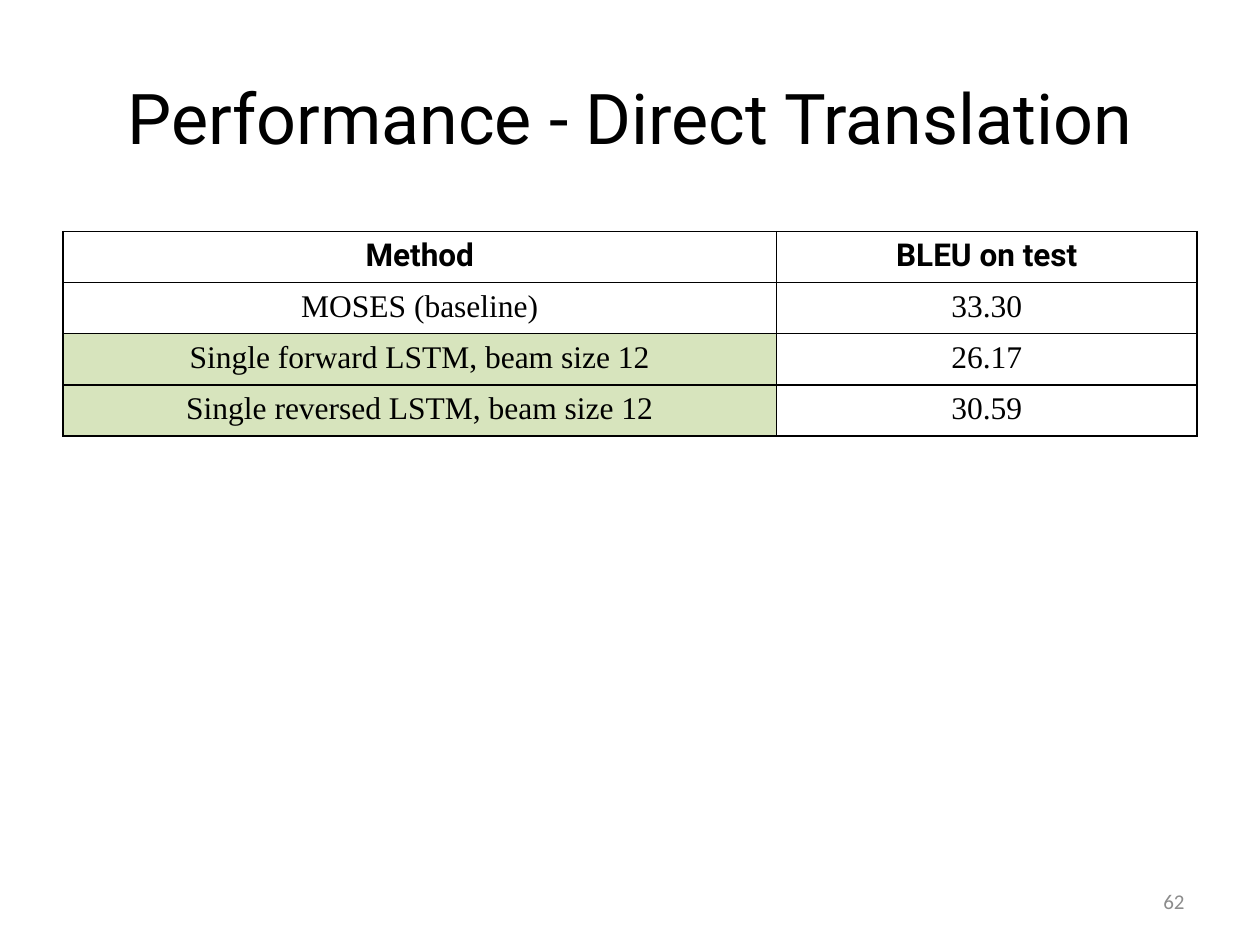
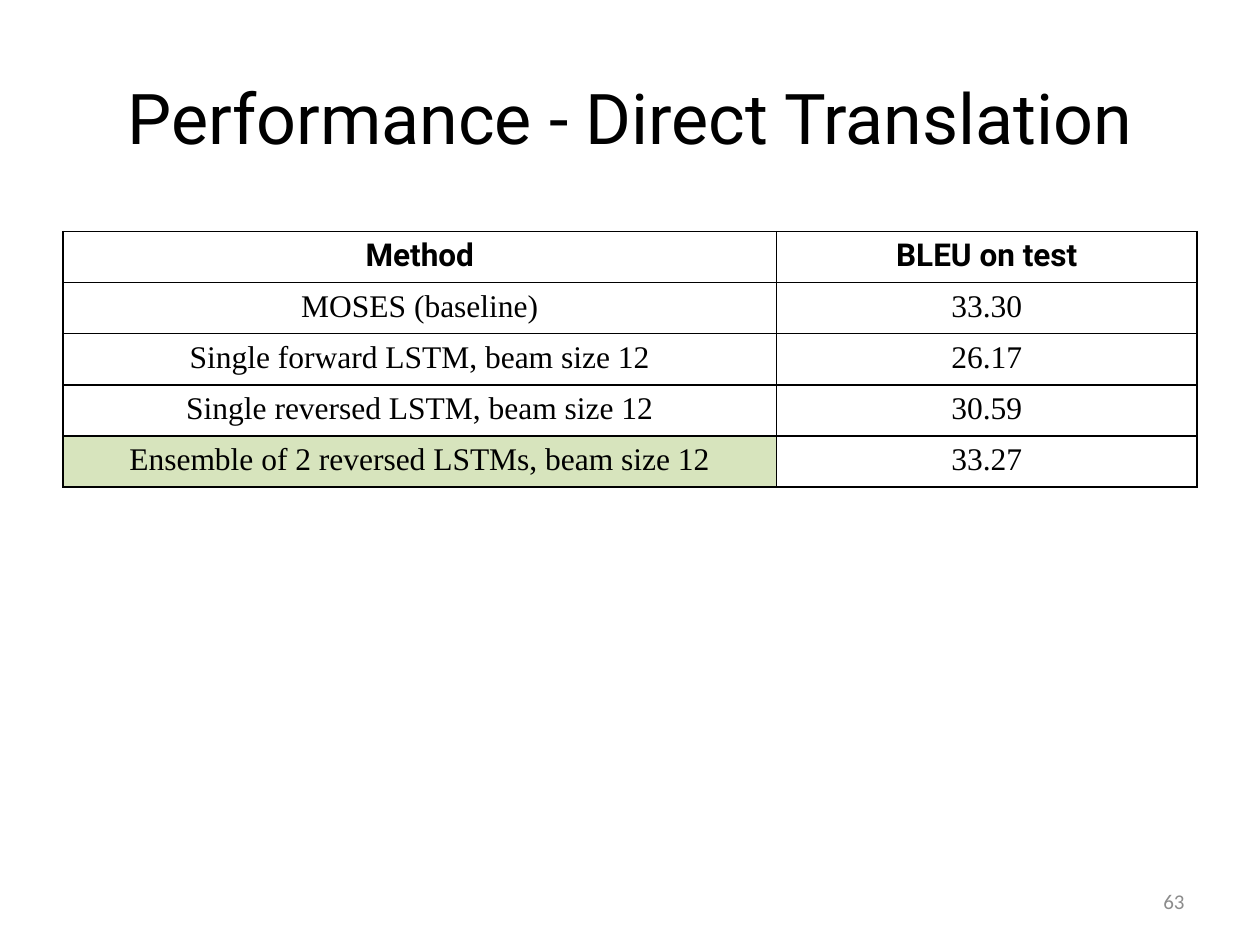
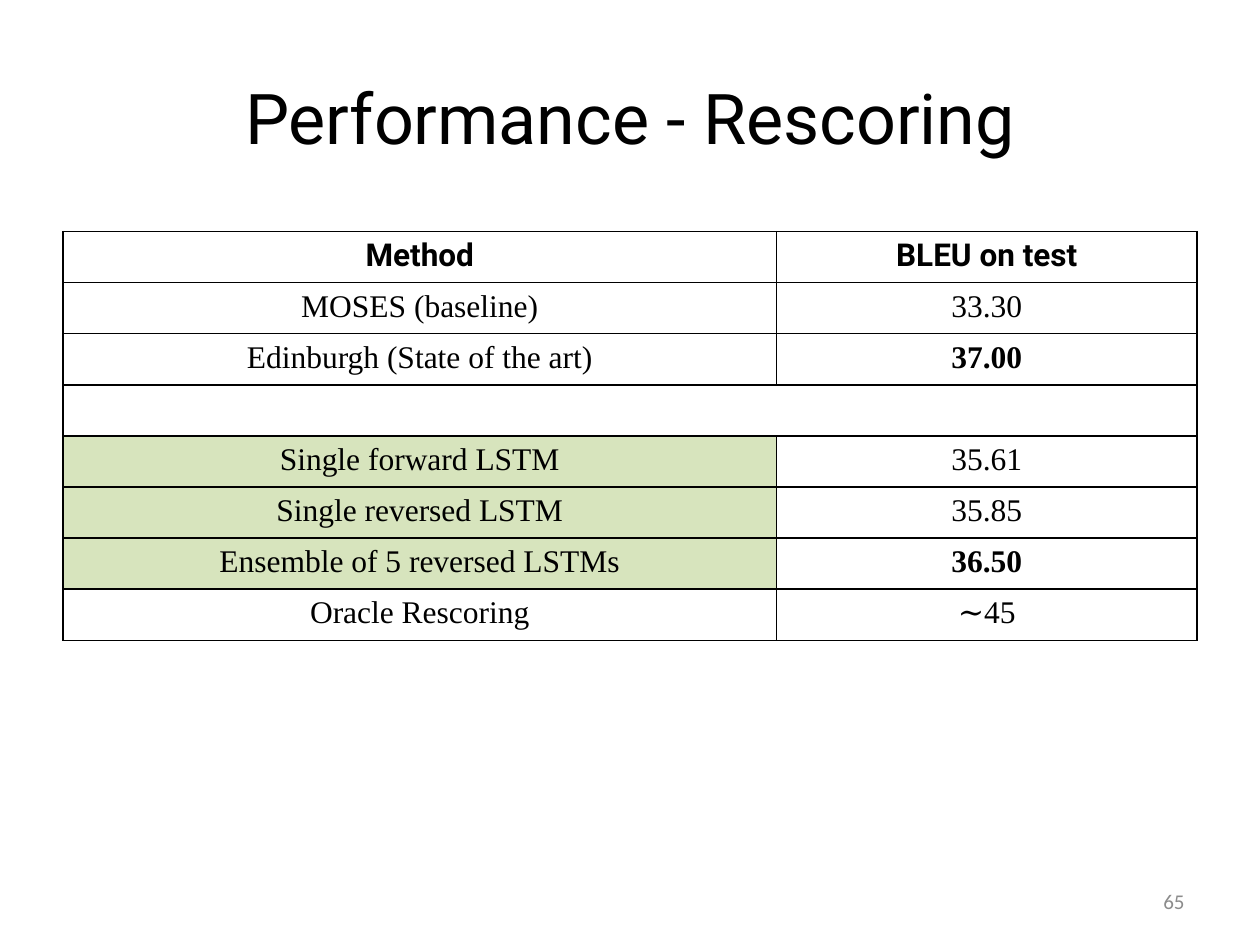
import pptx
import pptx.dml.color
import pptx.enum.text
import pptx.oxml.ns
import pptx.util
from lxml import etree

Pt = pptx.util.Pt
ALIGN = pptx.enum.text.PP_ALIGN
HEADING_FONT, BODY_FONT, NUMBER_FONT = "Roboto", "Times New Roman", "Calibri"
BLACK, WHITE, GREY, GREEN = "000000", "FFFFFF", "8C8C8C", "D7E4BD"

TITLE_BOX = (36, 21.6, 648, 90)
SCORES_BOX = (36, 132.3, 648)
NUMBER_BOX = (516, 500.5, 168, 28.75)
METHOD_WIDTH = 407.75
ROW_HEIGHT = 29.2

HEADER = ("Method", "BLEU on test")
BASELINE = ("MOSES (baseline)", "33.30")
FORWARD = ("Single forward LSTM, beam size 12", "26.17")
REVERSED = ("Single reversed LSTM, beam size 12", "30.59")
SEPARATOR = ("", "")

SLIDES = [
    ("Performance - Direct Translation", "62",
     [HEADER, BASELINE, FORWARD, REVERSED], {2, 3}, set()),
    ("Performance - Direct Translation", "63",
     [HEADER, BASELINE, FORWARD, REVERSED,
      ("Ensemble of 2 reversed LSTMs, beam size 12", "33.27")], {4}, set()),
    ("Performance - Rescoring", "65",
     [HEADER, BASELINE, ("Edinburgh (State of the art)", "37.00"), SEPARATOR,
      ("Single forward LSTM", "35.61"),
      ("Single reversed LSTM", "35.85"),
      ("Ensemble of 5 reversed LSTMs", "36.50"),
      ("Oracle Rescoring", "∼45")], {4, 5, 6}, {"37.00", "36.50"}),
]


def color(hex_value):
    """Turn a hex string into a colour."""
    return pptx.dml.color.RGBColor.from_string(hex_value)


def write(frame, text, font, size, ink=BLACK, align=ALIGN.CENTER, bold=False):
    """Write one run into the first paragraph of a text frame."""
    paragraph = frame.paragraphs[0]
    paragraph.alignment = align
    run = paragraph.add_run()
    run.text = text
    run.font.name = font
    run.font.size = Pt(size)
    run.font.bold = bold
    run.font.color.rgb = color(ink)


def add_label(slide, box, text, font, size, **style):
    """Place a vertically centred line of text in a box."""
    frame = slide.shapes.add_textbox(*map(Pt, box)).text_frame
    frame.word_wrap = True
    frame.vertical_anchor = pptx.enum.text.MSO_ANCHOR.MIDDLE
    write(frame, text, font, size, **style)


def outline(cell):
    """Draw a thin black border on every side of a cell."""
    qn = pptx.oxml.ns.qn
    properties = cell._tc.get_or_add_tcPr()
    for side in ("a:lnL", "a:lnR", "a:lnT", "a:lnB"):
        border = etree.SubElement(properties, qn(side), w=str(Pt(1)))
        stroke = etree.SubElement(border, qn("a:solidFill"))
        etree.SubElement(stroke, qn("a:srgbClr"), val=BLACK)


def add_scores(slide, box, rows, own_models, best_scores):
    """Build the table of methods and scores from the top left of its box."""
    left, top, width = box
    scores = slide.shapes.add_table(
        len(rows), len(HEADER), Pt(left), Pt(top), Pt(width),
        Pt(ROW_HEIGHT * len(rows))).table
    scores.first_row = scores.horz_banding = False
    scores.columns[0].width = Pt(METHOD_WIDTH)
    scores.columns[1].width = Pt(width - METHOD_WIDTH)
    for index, row in enumerate(rows):
        scores.rows[index].height = Pt(ROW_HEIGHT)
        for column, text in enumerate(row):
            cell = scores.cell(index, column)
            outline(cell)
            highlighted = column == 0 and index in own_models
            cell.fill.solid()
            cell.fill.fore_color.rgb = color(GREEN if highlighted else WHITE)
            if text:
                font = HEADING_FONT if row is HEADER else BODY_FONT
                write(cell.text_frame, text, font, 18,
                      bold=row is HEADER or text in best_scores)
        if row is SEPARATOR:
            scores.cell(index, 0).merge(scores.cell(index, 1))


def add_performance_slide(deck, title, number, rows, own_models, best_scores):
    """Add a slide with a title, a score table and a slide number."""
    slide = deck.slides.add_slide(deck.slide_layouts[6])
    add_label(slide, TITLE_BOX, title, HEADING_FONT, 40)
    add_scores(slide, SCORES_BOX, rows, own_models, best_scores)
    add_label(slide, NUMBER_BOX, number, NUMBER_FONT, 12,
              ink=GREY, align=ALIGN.RIGHT)


def main():
    """Build and save the deck."""
    deck = pptx.Presentation()
    deck.slide_width, deck.slide_height = Pt(720), Pt(540)
    for content in SLIDES:
        add_performance_slide(deck, *content)
    deck.save("out.pptx")


if __name__ == "__main__":
    main()
